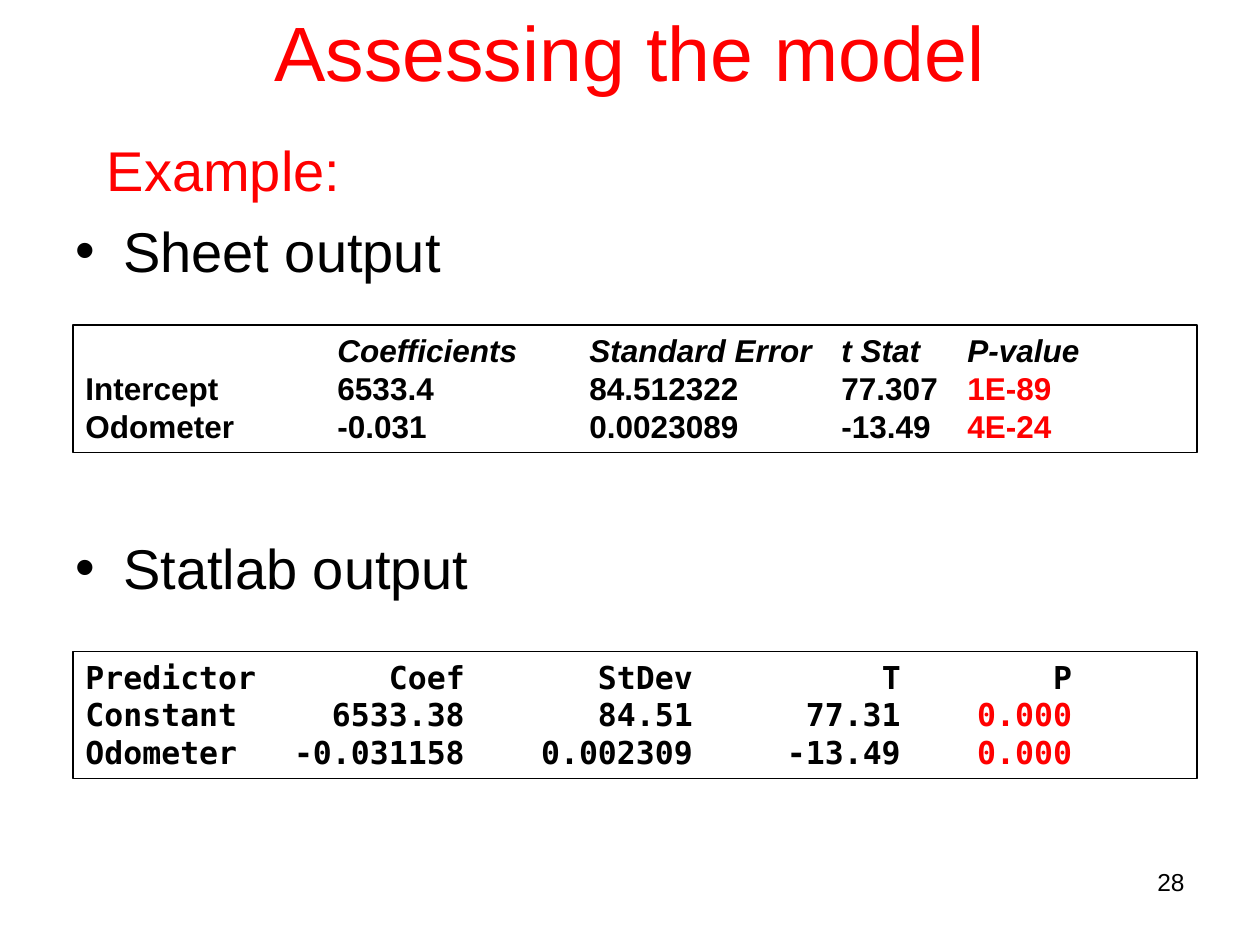
import pptx
import pptx.dml.color
import pptx.enum.shapes
import pptx.enum.text
import pptx.util
from lxml import etree
from pptx.oxml.ns import qn

Inches = pptx.util.Inches
Pt = pptx.util.Pt
Align = pptx.enum.text.PP_ALIGN
Anchor = pptx.enum.text.MSO_ANCHOR

RED, BLACK = "FF0000", "000000"
SANS, MONO = "Arial", "DejaVu Sans Mono"

# Tab stops of the two output boxes, in inches from the text edge
SHEET_TABS = [("l", 2), ("l", 4), ("l", 6), ("l", 7)]
STAT_TABS = [("r", 3.01), ("r", 4.82), ("r", 6.47), ("r", 7.83)]

SHEET_ROWS = [
    ["", "Coefficients", "Standard Error", "t Stat", "P-value"],
    ["Intercept", "6533.4", "84.512322", "77.307", "1E-89"],
    ["Odometer", "-0.031", "0.0023089", "-13.49", "4E-24"],
]
STAT_ROWS = [
    ["Predictor", "Coef", "StDev", "T", "P"],
    ["Constant", "6533.38", "84.51", "77.31", "0.000"],
    ["Odometer", "-0.031158", "0.002309", "-13.49", "0.000"],
]


def color(code):
    return pptx.dml.color.RGBColor.from_string(code)


def add_run(para, text, size, code=BLACK, face=SANS, bold=False, slant=False):
    run = para.add_run()
    run.text = text
    font = run.font
    font.name, font.size = face, Pt(size)
    font.bold, font.italic = bold, slant
    font.color.rgb = color(code)


def add_text(slide, left, top, width, height, anchor=Anchor.TOP):
    box = slide.shapes.add_textbox(
        Inches(left), Inches(top), Inches(width), Inches(height))
    frame = box.text_frame
    frame.word_wrap = True
    frame.vertical_anchor = anchor
    return frame


def set_bullet(para):
    props = para._p.get_or_add_pPr()
    props.set("marL", str(Inches(0.38)))
    props.set("indent", str(Inches(-0.38)))
    etree.SubElement(props, qn("a:buFont"), typeface=SANS)
    etree.SubElement(props, qn("a:buChar"), char="•")


def set_tabs(para, tabs):
    props = para._p.get_or_add_pPr()
    stops = etree.SubElement(props, qn("a:tabLst"))
    for side, place in tabs:
        etree.SubElement(stops, qn("a:tab"), pos=str(Inches(place)), algn=side)


def add_output(slide, top, rows, tabs, face, slant):
    """Framed output: columns on tab stops, p-values in red."""
    box = slide.shapes.add_shape(
        pptx.enum.shapes.MSO_SHAPE.RECTANGLE,
        Inches(0.58), Inches(top), Inches(8.92), Inches(1.01))
    box.shadow.inherit = False
    box.fill.background()
    box.line.color.rgb = color(BLACK)
    box.line.width = Pt(0.75)
    frame = box.text_frame
    frame.word_wrap = True
    frame.vertical_anchor = Anchor.TOP
    frame.auto_size = pptx.enum.text.MSO_AUTO_SIZE.SHAPE_TO_FIT_TEXT
    for i, row in enumerate(rows):
        para = frame.paragraphs[0] if i == 0 else frame.add_paragraph()
        para.alignment = Align.LEFT
        set_tabs(para, tabs)
        head = i == 0
        add_run(para, "\t".join(row[:-1]) + "\t", 18, BLACK, face, True,
                slant and head)
        add_run(para, row[-1], 18, BLACK if head else RED, face, True,
                slant and head)


def add_body(slide):
    frame = add_text(slide, 0.5, 1.03, 9, 5.67)
    para = frame.paragraphs[0]
    para._p.get_or_add_pPr().set("marL", str(Inches(0.25)))
    add_run(para, "Example:", 32, RED)
    # The second gap leaves room for the first output box
    for text, gap in [("Sheet output", 7.8), ("Statlab output", 142.6)]:
        para = frame.add_paragraph()
        para.space_before = Pt(gap)
        set_bullet(para)
        add_run(para, text, 32)


def main():
    deck = pptx.Presentation()
    deck.slide_width, deck.slide_height = Inches(10), Inches(7.5)
    slide = deck.slides.add_slide(deck.slide_layouts[6])

    # Title
    para = add_text(slide, 0.5, 0, 9, 0.8, Anchor.MIDDLE).paragraphs[0]
    para.alignment = Align.CENTER
    add_run(para, "Assessing the model", 44, RED)

    # Bullets and output boxes
    add_body(slide)
    add_output(slide, 2.58, SHEET_ROWS, SHEET_TABS, SANS, True)
    add_output(slide, 5.17, STAT_ROWS, STAT_TABS, MONO, False)

    # Slide number
    para = add_text(slide, 7.17, 6.83, 2.33, 0.52).paragraphs[0]
    para.alignment = Align.RIGHT
    add_run(para, "28", 14)

    deck.save("out.pptx")


if __name__ == "__main__":
    main()
